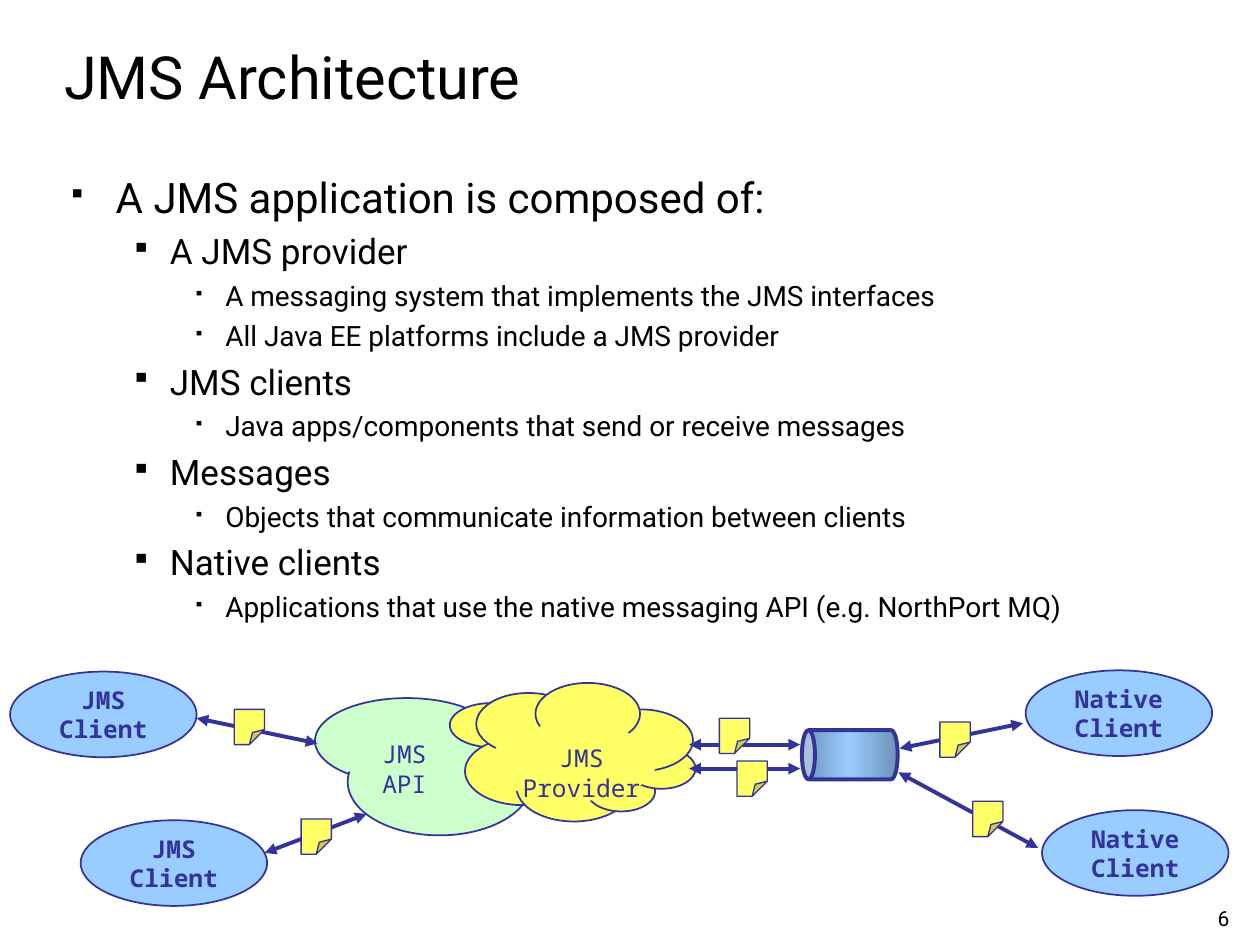
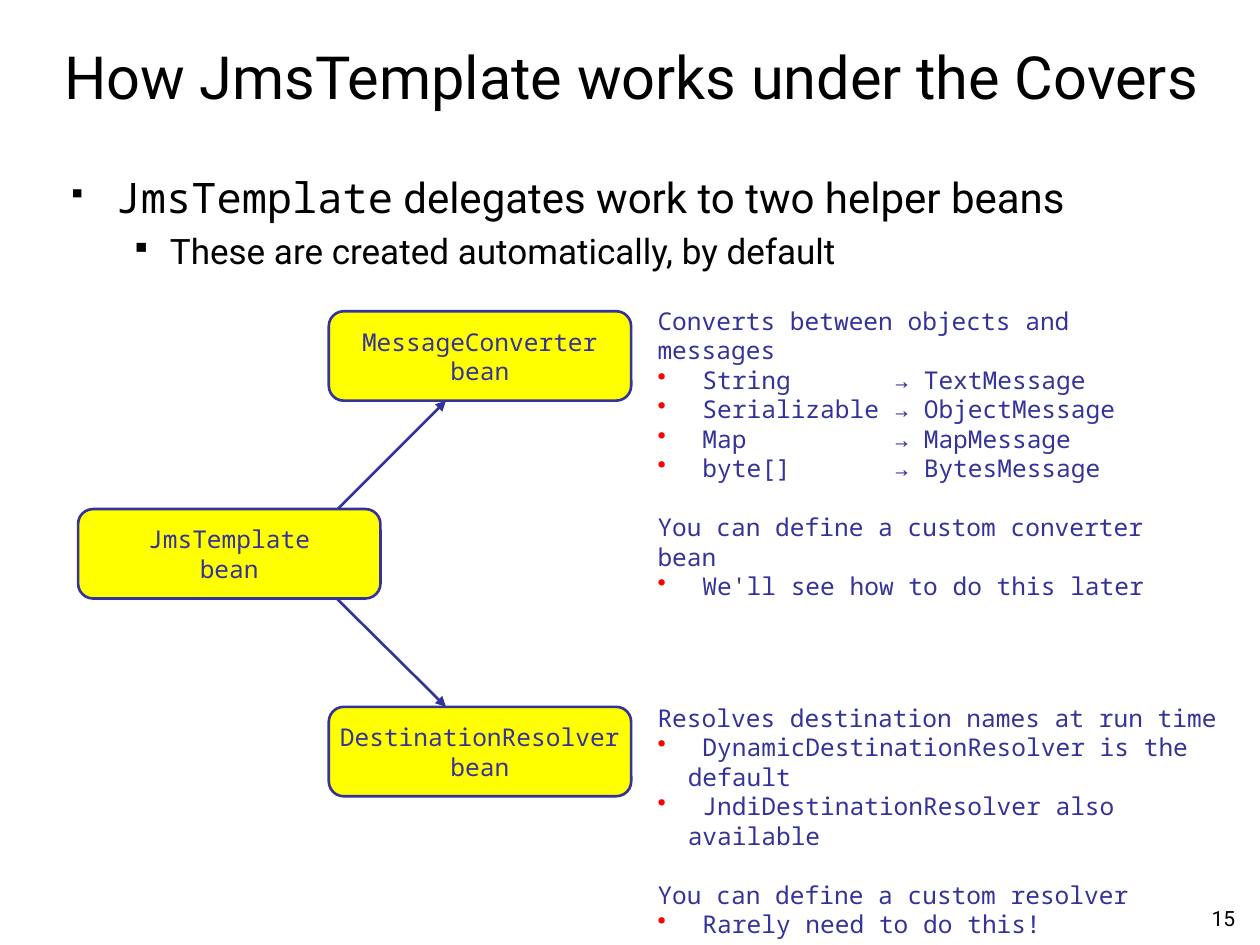
from copy import deepcopy

from lxml import etree
from pptx import Presentation
from pptx.dml.color import RGBColor
from pptx.enum.shapes import MSO_CONNECTOR, MSO_SHAPE
from pptx.enum.text import MSO_ANCHOR, PP_ALIGN
from pptx.oxml.ns import qn
from pptx.util import Inches, Pt

STRAIGHT = MSO_CONNECTOR.STRAIGHT
ELLIPSE = MSO_SHAPE.OVAL
ROUNDED = MSO_SHAPE.ROUNDED_RECTANGLE
NOTE = MSO_SHAPE.FOLDED_CORNER
CAN = MSO_SHAPE.CAN
TOP, MIDDLE, BOTTOM = MSO_ANCHOR.TOP, MSO_ANCHOR.MIDDLE, MSO_ANCHOR.BOTTOM
CENTER = PP_ALIGN.CENTER

COLORS = {
    "text": "000000",
    "ink": "333399",
    "client": "99CCFF",
    "pipe_edge": "6D92B6",
    "api": "CCFFCC",
    "message": "FFFF66",
    "bean": "FFFF00",
    "dot": "FF0000",
}
SANS, MONO = "Roboto", "Noto Sans Mono"
OUTLINE_LEVELS = [
    {"size": 24, "margin": 0.38, "hang": 0.38, "before": 0, "bullet": 60},
    {"size": 20, "margin": 0.81, "hang": 0.31, "before": 4.7, "bullet": 80},
    {"size": 16, "margin": 1.25, "hang": 0.25, "before": 3.7, "bullet": 50},
]


def rgb(name):
    return RGBColor.from_string(COLORS[name])


class Deck:
    def __init__(self):
        self.prs = Presentation()
        self.prs.slide_width, self.prs.slide_height = Inches(10), Inches(7.5)
        self.slide = None

    def new_slide(self, title, number):
        self.slide = self.prs.slides.add_slide(self.prs.slide_layouts[6])
        heading = self.text_box((0.41, 0.17, 9.35, 0.76), BOTTOM)
        self.run(heading.paragraphs[0], title, 34, SANS)
        footer = self.text_box((9.45, 6.94, 0.52, 0.5), BOTTOM)
        footer.paragraphs[0].alignment = CENTER
        self.run(footer.paragraphs[0], number, 12, SANS)

    def text_box(self, box, anchor=TOP):
        frame = self.slide.shapes.add_textbox(*map(Inches, box)).text_frame
        frame.word_wrap = True
        frame.vertical_anchor = anchor
        return frame

    def run(self, paragraph, text, size, font, color="text", bold=False):
        run = paragraph.add_run()
        run.text = text
        run.font.size, run.font.name, run.font.bold = Pt(size), font, bold
        run.font.color.rgb = rgb(color)

    def next_paragraph(self, frame, index):
        return frame.add_paragraph() if index else frame.paragraphs[0]

    def bullet(self, paragraph, char, color, percent, margin, hang):
        props = paragraph._p.get_or_add_pPr()
        props.set("marL", str(Inches(margin)))
        props.set("indent", str(-Inches(hang)))
        fill = etree.SubElement(props, qn("a:buClr"))
        etree.SubElement(fill, qn("a:srgbClr"), val=COLORS[color])
        etree.SubElement(props, qn("a:buSzPct"), val=str(percent * 1000))
        etree.SubElement(props, qn("a:buChar"), char=char)

    def outline(self, items):
        frame = self.text_box((0.44, 1.31, 9.28, 5.4))
        for index, (level, pieces) in enumerate(items):
            style = OUTLINE_LEVELS[level]
            paragraph = self.next_paragraph(frame, index)
            paragraph.level = level
            paragraph.space_before = Pt(style["before"])
            self.bullet(paragraph, "▪", "text", style["bullet"],
                        style["margin"], style["hang"])
            for text, font in pieces:
                self.run(paragraph, text, style["size"], font)

    def explanation(self, box, sections):
        frame = self.text_box(box)
        for index, (lead, points) in enumerate(sections):
            paragraph = self.next_paragraph(frame, index)
            paragraph.space_before = Pt(17 if index else 0)
            self.run(paragraph, lead, 14, MONO, "ink")
            for point in points:
                paragraph = frame.add_paragraph()
                self.bullet(paragraph, "•", "dot", 100, 0.24, 0.24)
                if "\t" in point:
                    tabs = etree.SubElement(paragraph._p.pPr, qn("a:tabLst"))
                    etree.SubElement(tabs, qn("a:tab"), pos=str(Inches(1.88)), algn="l")
                self.run(paragraph, " " + point, 14, MONO, "ink")

    def label(self, box, text):
        paragraph = self.text_box(box).paragraphs[0]
        paragraph.alignment = CENTER
        self.run(paragraph, text, 14, MONO, "ink")

    def shape(self, kind, box, fill, width=1, lines=(), bold=False, adjust=None):
        shape = self.slide.shapes.add_shape(kind, *map(Inches, box))
        shape.shadow.inherit = False
        shape.fill.solid()
        shape.fill.fore_color.rgb = rgb(fill)
        if width:
            shape.line.color.rgb = rgb("ink")
            shape.line.width = Pt(width)
        else:
            shape.line.fill.background()
        if adjust is not None:
            self.adjust(shape, adjust)
        frame = shape.text_frame
        frame.word_wrap = False
        frame.vertical_anchor = MIDDLE
        for index, text in enumerate(lines):
            paragraph = self.next_paragraph(frame, index)
            paragraph.alignment = CENTER
            self.run(paragraph, text, 14, MONO, "ink", bold)
        return shape

    def adjust(self, shape, ratio):
        geometry = shape._element.spPr.find(qn("a:prstGeom"))
        for child in list(geometry):
            geometry.remove(child)
        guides = etree.SubElement(geometry, qn("a:avLst"))
        etree.SubElement(guides, qn("a:gd"), name="adj",
                         fmla=f"val {round(ratio * 100000)}")

    def client(self, left, top, kind):
        self.shape(ELLIPSE, (left, top, 1.48, 0.68), "client",
                   lines=(kind, "Client"), bold=True)

    def message(self, left, top):
        self.shape(NOTE, (left, top, 0.24, 0.28), "message", 0.75, adjust=0.5)

    def bean(self, left, top, name):
        self.shape(ROUNDED, (left, top, 2.4, 0.71), "bean", 1.5,
                   lines=(name, "bean"), adjust=0.167)

    def pipe(self, box):
        pipe = self.shape(CAN, box, "client", 2.25, adjust=0.265)
        pipe.rotation = 270
        pipe.fill.gradient()
        pipe.fill.gradient_angle = 270
        stops = pipe._element.spPr.find(".//" + qn("a:gsLst"))
        stops.insert(1, deepcopy(stops[0]))
        shades = ("pipe_edge", "client", "pipe_edge")
        for index, (stop, shade) in enumerate(zip(pipe.fill.gradient_stops, shades)):
            stop.position = index / 2
            stop.color.rgb = rgb(shade)

    def arrow(self, start, end, width, both=False):
        link = self.slide.shapes.add_connector(STRAIGHT, *map(Inches, start + end))
        link.line.color.rgb = rgb("ink")
        link.line.width = Pt(width)
        for tip in ("a:headEnd", "a:tailEnd") if both else ("a:tailEnd",):
            etree.SubElement(link.line._get_or_add_ln(), qn(tip), type="triangle")
        etree.SubElement(link._element.spPr, qn("a:effectLst"))


deck = Deck()

deck.new_slide("JMS Architecture", "6")
architecture = [
    (0, "A JMS application is composed of:"),
    (1, "A JMS provider"),
    (2, "A messaging system that implements the JMS interfaces"),
    (2, "All Java EE platforms include a JMS provider"),
    (1, "JMS clients"),
    (2, "Java apps/components that send or receive messages"),
    (1, "Messages"),
    (2, "Objects that communicate information between clients"),
    (1, "Native clients"),
    (2, "Applications that use the native messaging API (e.g. NorthPort MQ)"),
]
deck.outline([(level, [(text, SANS)]) for level, text in architecture])

api_cloud = [(2.5, 5.54, 1.46, 0.68), (2.76, 5.78, 1.46, 0.85)]
provider_cloud = [
    (3.57, 5.58, 0.66, 0.35), (3.69, 5.85, 0.91, 0.54),
    (4.1, 5.98, 0.91, 0.54), (4.66, 6.12, 0.54, 0.32),
    (4.98, 5.94, 0.54, 0.32), (4.67, 5.63, 0.83, 0.49),
    (3.78, 5.5, 0.83, 0.49), (4.25, 5.42, 0.83, 0.49),
]
for puffs, core, color in (
    (api_cloud, (2.6, 5.64, 1.38, 0.58), "api"),
    (provider_cloud, (3.89, 5.74, 1.32, 0.62), "message"),
):
    for puff in puffs:
        deck.shape(ELLIPSE, puff, color)
    deck.shape(ELLIPSE, core, color, width=0)
deck.label((3.96, 5.85, 1.31, 0.33), "JMS Provider")
deck.label((2.76, 5.82, 0.9, 0.33), "JMS API")

for left, top, kind in ((0.64, 6.51, "JMS"), (0.08, 5.33, "JMS"),
                        (8.27, 6.43, "Native"), (8.14, 5.32, "Native")):
    deck.client(left, top, kind)
deck.pipe((6.55, 5.61, 0.39, 0.76))

exchanges = [
    ((7.14, 5.94), (8.12, 5.74), (7.46, 5.73)),
    ((7.13, 6.13), (8.24, 6.73), (7.72, 6.36)),
    ((1.56, 5.7), (2.52, 5.9), (1.86, 5.63)),
    ((2.1, 6.77), (2.91, 6.46), (2.39, 6.5)),
    ((5.47, 5.91), (6.35, 5.91), (5.71, 5.7)),
    ((5.47, 6.1), (6.35, 6.1), (5.85, 6.04)),
]
for start, end, _ in exchanges:
    deck.arrow(start, end, 2.25, both=True)
for _, _, corner in exchanges:
    deck.message(*corner)

deck.new_slide("How JmsTemplate works under the Covers", "15")
deck.outline([
    (0, [("JmsTemplate", MONO), (" delegates work to two helper beans", SANS)]),
    (1, [("These are created automatically, by default", SANS)]),
])
deck.arrow((2.51, 4.21), (3.54, 3.18), 1.5)
deck.arrow((2.51, 4.59), (3.54, 5.61), 1.5)
deck.bean(2.61, 2.47, "MessageConverter")
deck.bean(2.61, 5.61, "DestinationResolver")
deck.bean(0.62, 4.04, "JmsTemplate")

conversions = [("String", "TextMessage"), ("Serializable", "ObjectMessage"),
               ("Map", "MapMessage"), ("byte[]", "BytesMessage")]
deck.explanation((5.12, 2.38, 4.31, 2.05), [
    ("Converts between objects and messages",
     [f"{source}\t→ {target}" for source, target in conversions]),
    ("You can define a custom converter bean", ["We'll see how to do this later"]),
])
deck.explanation((5.12, 5.53, 4.68, 1.58), [
    ("Resolves destination names at run time",
     ["DynamicDestinationResolver is the default",
      "JndiDestinationResolver also available"]),
    ("You can define a custom resolver", ["Rarely need to do this!"]),
])

deck.prs.save("out.pptx")
